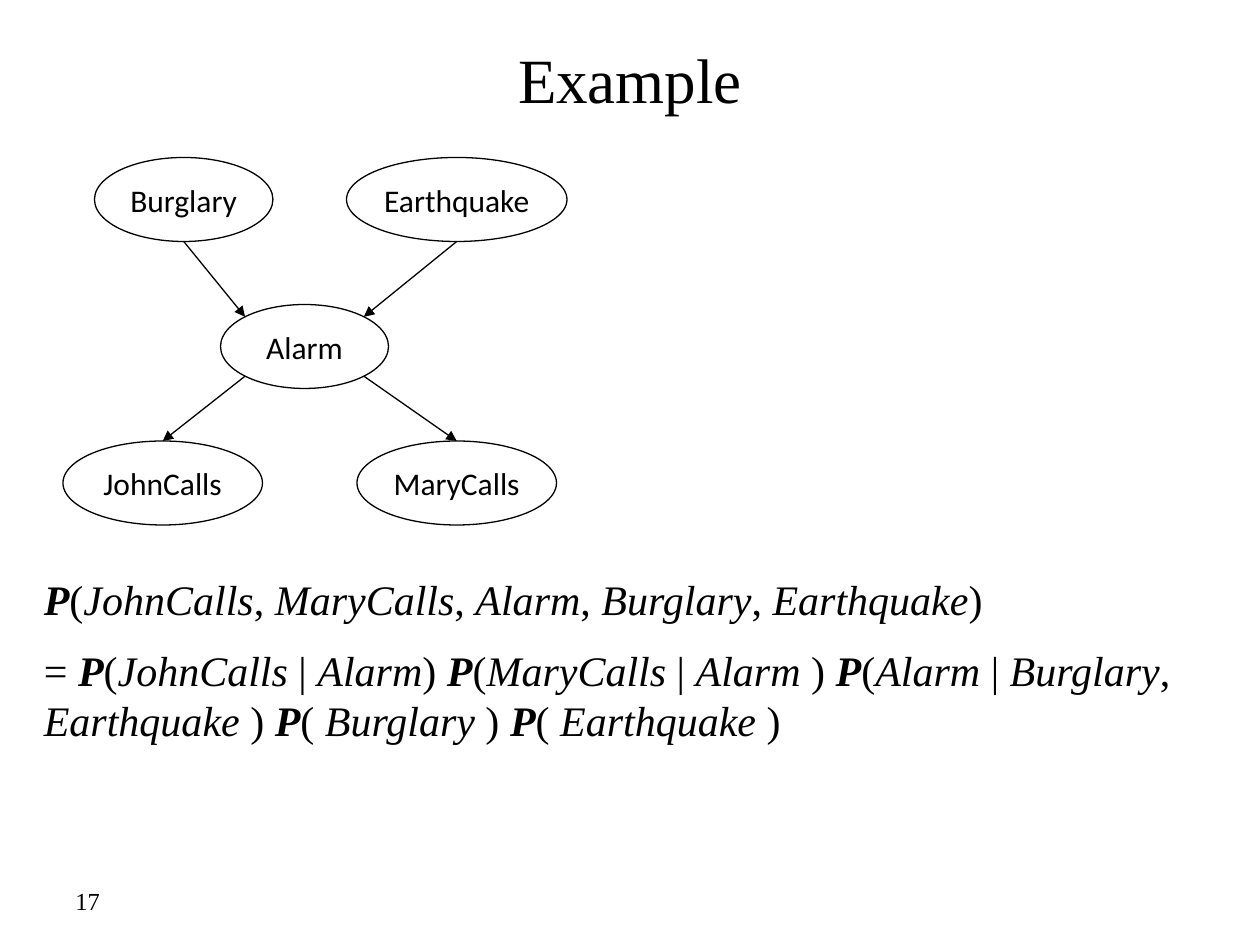
from math import sqrt

from lxml import etree
from pptx import Presentation
from pptx.dml.color import RGBColor
from pptx.enum.shapes import MSO_CONNECTOR, MSO_SHAPE
from pptx.enum.text import MSO_ANCHOR, PP_ALIGN
from pptx.oxml.ns import qn
from pptx.util import Emu, Pt

LINE, OVAL = MSO_CONNECTOR.STRAIGHT, MSO_SHAPE.OVAL
MID, TOP = MSO_ANCHOR.MIDDLE, MSO_ANCHOR.TOP
LEFT, CENTER = PP_ALIGN.LEFT, PP_ALIGN.CENTER
HUES = {"ink": "000000", "page": "FFFFFF"}
SERIF, SANS = "Times New Roman", "Calibri"
NODES = {
    "Burglary": (30, 0, 170),
    "Earthquake": (270, 0, 210),
    "Alarm": (150, 140, 160),
    "JohnCalls": (0, 270, 190),
    "MaryCalls": (280, 270, 190),
}
HIGH = 80
EDGES = [
    ("Burglary", (0, 1), "Alarm", (-1, -1)),
    ("Earthquake", (0, 1), "Alarm", (1, -1)),
    ("Alarm", (-1, 1), "JohnCalls", (0, -1)),
    ("Alarm", (1, 1), "MaryCalls", (0, -1)),
]
RULE = [
    "_P_(_JohnCalls_, _MaryCalls_, _Alarm_, _Burglary_, _Earthquake_)",
    "= _P_(_JohnCalls_ | _Alarm_) _P_(_MaryCalls_ | _Alarm_ ) "
    "_P_(_Alarm_ | _Burglary_, _Earthquake_ ) _P_( _Burglary_ ) _P_( _Earthquake_ )",
]


def px(num):
    """Turn px, 120 to the inch, into EMU."""
    return Emu(round(num * 7620))


def hue(name):
    """Look up a colour by name."""
    return RGBColor.from_string(HUES[name])


def write(shape, lines, size, font=SERIF, align=LEFT, anchor=TOP, gap=0, wrap=True):
    """Fill a shape with lines in which underscores mark italic parts."""
    frame = shape.text_frame
    frame.word_wrap = wrap
    frame.vertical_anchor = anchor
    for row, line in enumerate(lines):
        para = frame.add_paragraph() if row else frame.paragraphs[0]
        para.alignment = align
        para.space_before = Pt(gap if row else 0)
        for spot, part in enumerate(line.split("_")):
            if part:
                run = para.add_run()
                run.text = part
                face = run.font
                face.name, face.size = font, Pt(size)
                face.italic = spot % 2 == 1
                face.bold = part == "P"
                face.color.rgb = hue("ink")


def head(slide, box):
    """Place the title."""
    title = slide.shapes.title
    title.left, title.top, title.width, title.height = map(px, box)
    write(title, ["Example"], 36, align=CENTER, anchor=MID)


def note(slide, box, lines, size, **form):
    """Place a text box."""
    write(slide.shapes.add_textbox(*map(px, box)), lines, size, **form)


def node(slide, box, name):
    """Draw one named oval."""
    oval = slide.shapes.add_shape(OVAL, *map(px, box))
    oval.shadow.inherit = False
    oval.fill.background()
    oval.line.color.rgb = hue("ink")
    oval.line.width = Pt(0.75)
    write(oval, [name], 18, font=SANS, align=CENTER, anchor=MID, wrap=False)
    return oval


def rim(box, side):
    """Find the point on an oval's rim in a given direction."""
    left, top, wide, high = box
    across, down = side
    norm = sqrt(across ** 2 + down ** 2)
    return left + wide / 2 * (1 + across / norm), top + high / 2 * (1 + down / norm)


def arrow(slide, start, end):
    """Draw an arrow between two points."""
    link = slide.shapes.add_connector(LINE, *map(px, (*start, *end)))
    link.line.color.rgb = hue("ink")
    link.line.width = Pt(0.75)
    etree.SubElement(link.line._get_or_add_ln(), qn("a:tailEnd"), type="triangle")
    etree.SubElement(link._element.spPr, qn("a:effectLst"))
    return link


def graph(slide, left, top):
    """Draw the network from its top left corner."""
    boxes = {name: (left + x, top + y, wide, HIGH)
             for name, (x, y, wide) in NODES.items()}
    ovals = {name: node(slide, box, name) for name, box in boxes.items()}
    for tail, out, tip, into in EDGES:
        link = arrow(slide, rim(boxes[tail], out), rim(boxes[tip], into))
        if into == (0, -1):
            link.end_connect(ovals[tip], 0)


def main():
    """Build the slide and save it."""
    deck = Presentation()
    deck.slide_width, deck.slide_height = px(1200), px(900)
    slide = deck.slides.add_slide(deck.slide_layouts[5])
    fill = slide.background.fill
    fill.solid()
    fill.fore_color.rgb = hue("page")
    head(slide, (0, 20, 1200, 110))
    graph(slide, 60, 150)
    note(slide, (30, 540, 1140, 180), RULE, 24, gap=12)
    note(slide, (60, 834, 280, 48), ["17"], 14, anchor=MID)
    deck.save("out.pptx")


if __name__ == "__main__":
    main()
